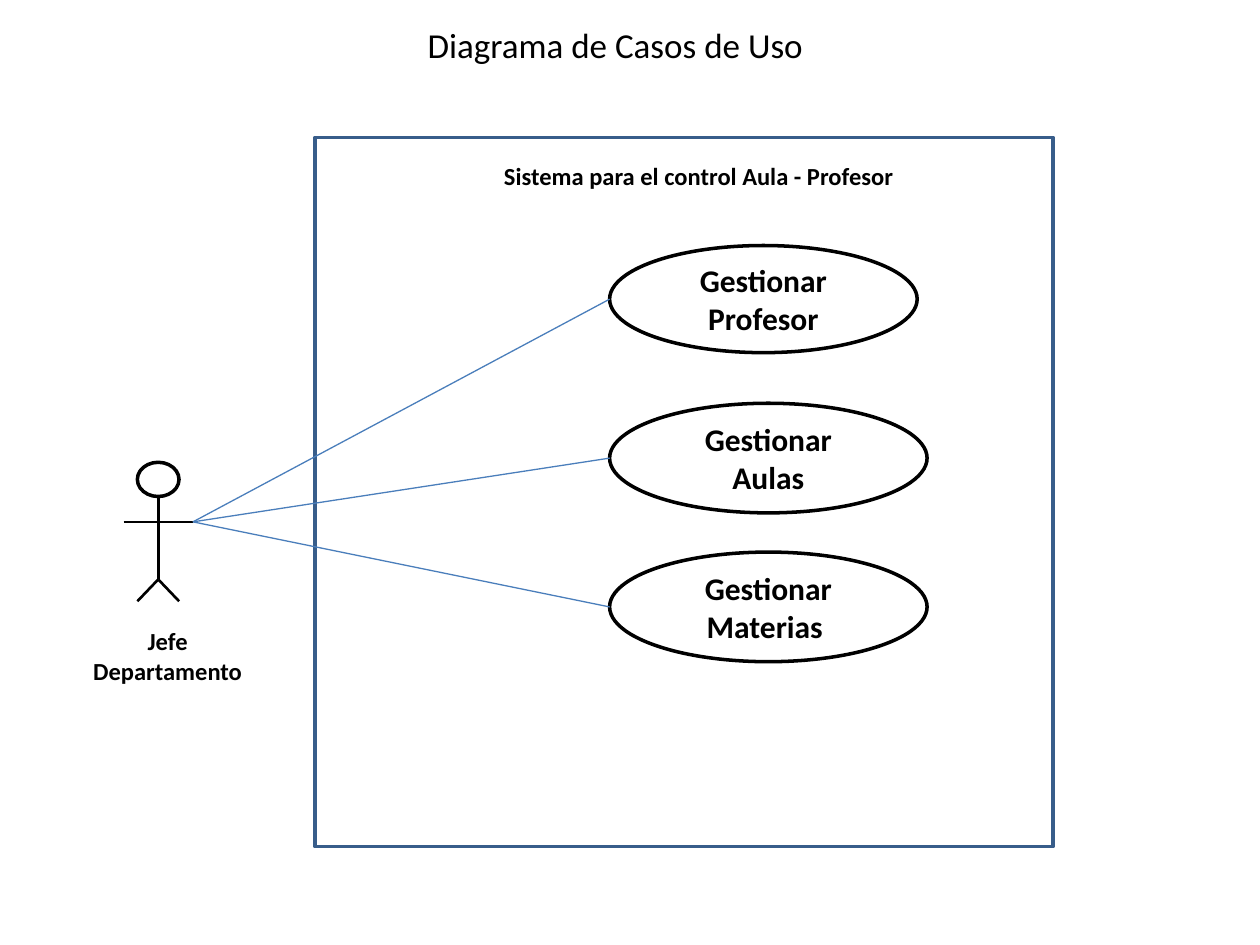
from pptx import Presentation
from pptx.dml.color import RGBColor
from pptx.enum.shapes import MSO_CONNECTOR, MSO_SHAPE
from pptx.enum.text import MSO_ANCHOR, PP_ALIGN
from pptx.oxml.ns import qn
from pptx.util import Cm, Pt
from lxml.etree import SubElement

BLACK, WHITE, FRAME_BLUE, LINK_BLUE = "000000", "FFFFFF", "385D8A", "4A7EBB"
USE_CASES = [  # text, top, width, height
    ("Gestionar Profesor", 2.18, 6.2, 2.16),
    ("Gestionar Aulas", 5.36, 6.4, 2.21),
    ("Gestionar Materias ", 8.36, 6.4, 2.21),
]


def colour(hex_text):
    return RGBColor.from_string(hex_text)


def write(shape, text, size, bold=True, align=PP_ALIGN.CENTER,
          anchor=MSO_ANCHOR.TOP, wrap=True):
    frame = shape.text_frame
    frame.text = text
    frame.word_wrap = wrap
    frame.vertical_anchor = anchor
    para = frame.paragraphs[0]
    para.alignment = align
    font = para.runs[0].font
    font.name, font.size, font.bold = "Calibri", Pt(size), bold
    font.color.rgb = colour(BLACK)


def add_label(page, left, top, width, height, text, size, **style):
    box = page.shapes.add_textbox(Cm(left), Cm(top), Cm(width), Cm(height))
    write(box, text, size, **style)


def add_outlined(shapes, kind, left, top, width, height, line, fill=None):
    shape = shapes.add_shape(kind, Cm(left), Cm(top), Cm(width), Cm(height))
    shape.shadow.inherit = False
    if fill:
        shape.fill.solid()
        shape.fill.fore_color.rgb = colour(fill)
    else:
        shape.fill.background()
    shape.line.color.rgb = colour(line)
    shape.line.width = Pt(2)
    return shape


def add_line(shapes, start, end, line, width):
    link = shapes.add_connector(MSO_CONNECTOR.STRAIGHT,
                                *(Cm(value) for value in (*start, *end)))
    link.line.color.rgb = colour(line)
    link.line.width = Pt(width)
    SubElement(link._element.spPr, qn("a:effectLst"))


def add_actor(page, left, top, name):
    """Draw a named stick figure and return the point of its right hand."""
    figure = page.shapes.add_group_shape().shapes
    centre, arms, hips, feet = left + 0.7, top + 1.2, top + 2.36, top + 2.8
    add_outlined(figure, MSO_SHAPE.OVAL, centre - 0.42, top, 0.84, 0.69, BLACK, WHITE)
    hand = (left + 1.4, arms)
    limbs = [
        ((centre, top + 0.69), (centre, hips)),
        ((centre, hips), (centre - 0.42, feet)),
        ((centre, hips), (centre + 0.42, feet)),
        ((left, arms), hand),
    ]
    for start, end in limbs:
        add_line(figure, start, end, BLACK, 1.5)
    add_label(page, left - 1.09, top + 3.18, 3.96, 1.45, name, 14)
    return hand


def add_system(page, left, top, width, height, name):
    """Draw the system boundary and return the left ends of its use cases."""
    add_outlined(page.shapes, MSO_SHAPE.RECTANGLE, left, top, width, height, FRAME_BLUE)
    add_label(page, left + 3.56, top + 0.35, 8.41, 0.86, name, 14,
              align=PP_ALIGN.LEFT, wrap=False)
    ends = []
    case_left = left + 5.94
    for text, offset, case_width, case_height in USE_CASES:
        case = add_outlined(page.shapes, MSO_SHAPE.OVAL, case_left, top + offset,
                            case_width, case_height, BLACK, WHITE)
        write(case, text, 18, anchor=MSO_ANCHOR.MIDDLE)
        ends.append((case_left, top + offset + case_height / 2))
    return ends


def main():
    deck = Presentation()
    deck.slide_width, deck.slide_height = Cm(25.4), Cm(19.05)
    page = deck.slides.add_slide(deck.slide_layouts[6])
    add_label(page, 6.5, 0, 11.81, 1.8, "Diagrama de Casos de Uso", 20,
              bold=False, anchor=MSO_ANCHOR.MIDDLE)
    hand = add_actor(page, 2.49, 9.32, "Jefe Departamento")
    ends = add_system(page, 6.35, 2.77, 14.88, 14.3,
                      "Sistema para el control Aula - Profesor")
    for end in ends:
        add_line(page.shapes, hand, end, LINK_BLUE, 0.75)
    deck.save("out.pptx")


if __name__ == "__main__":
    main()
